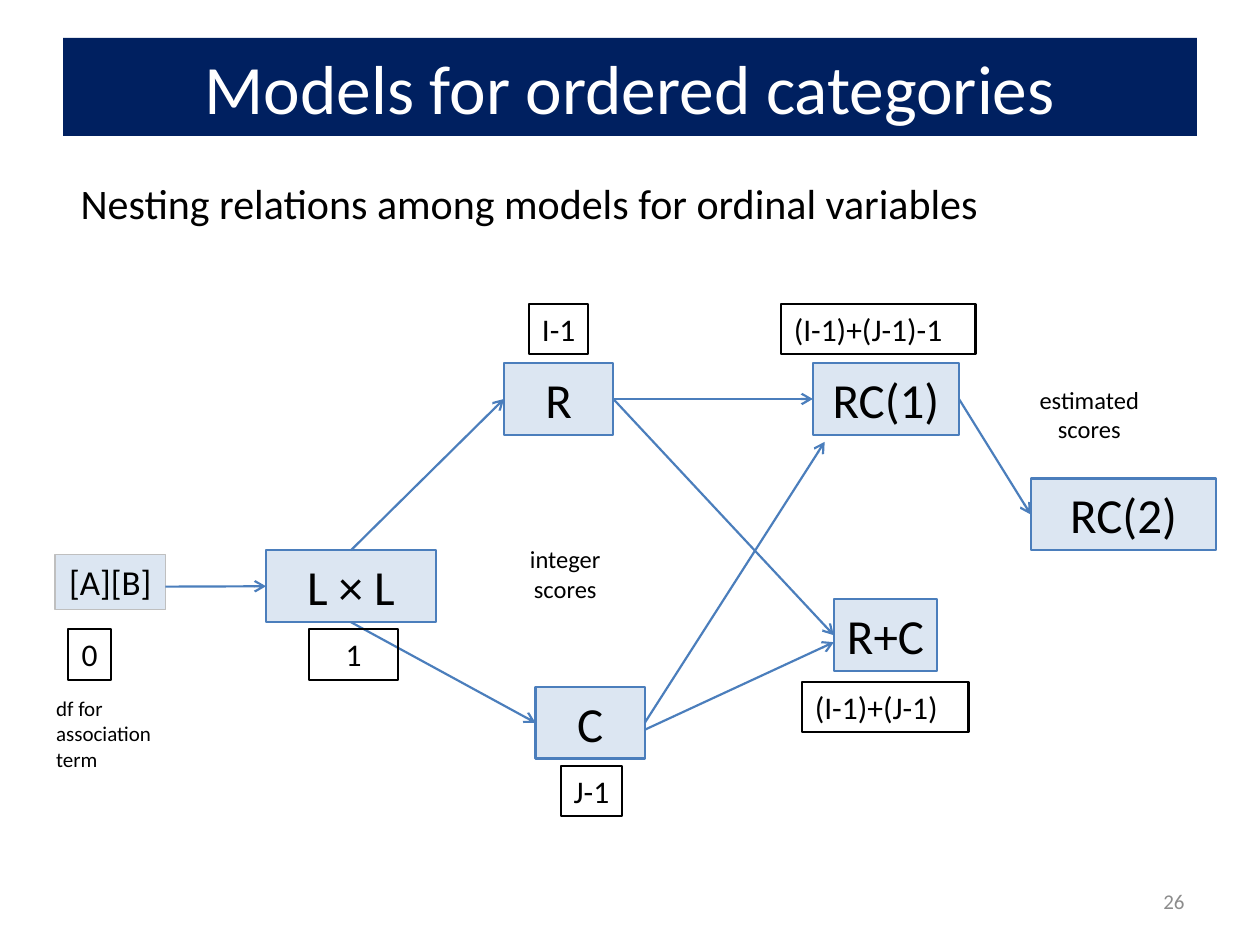
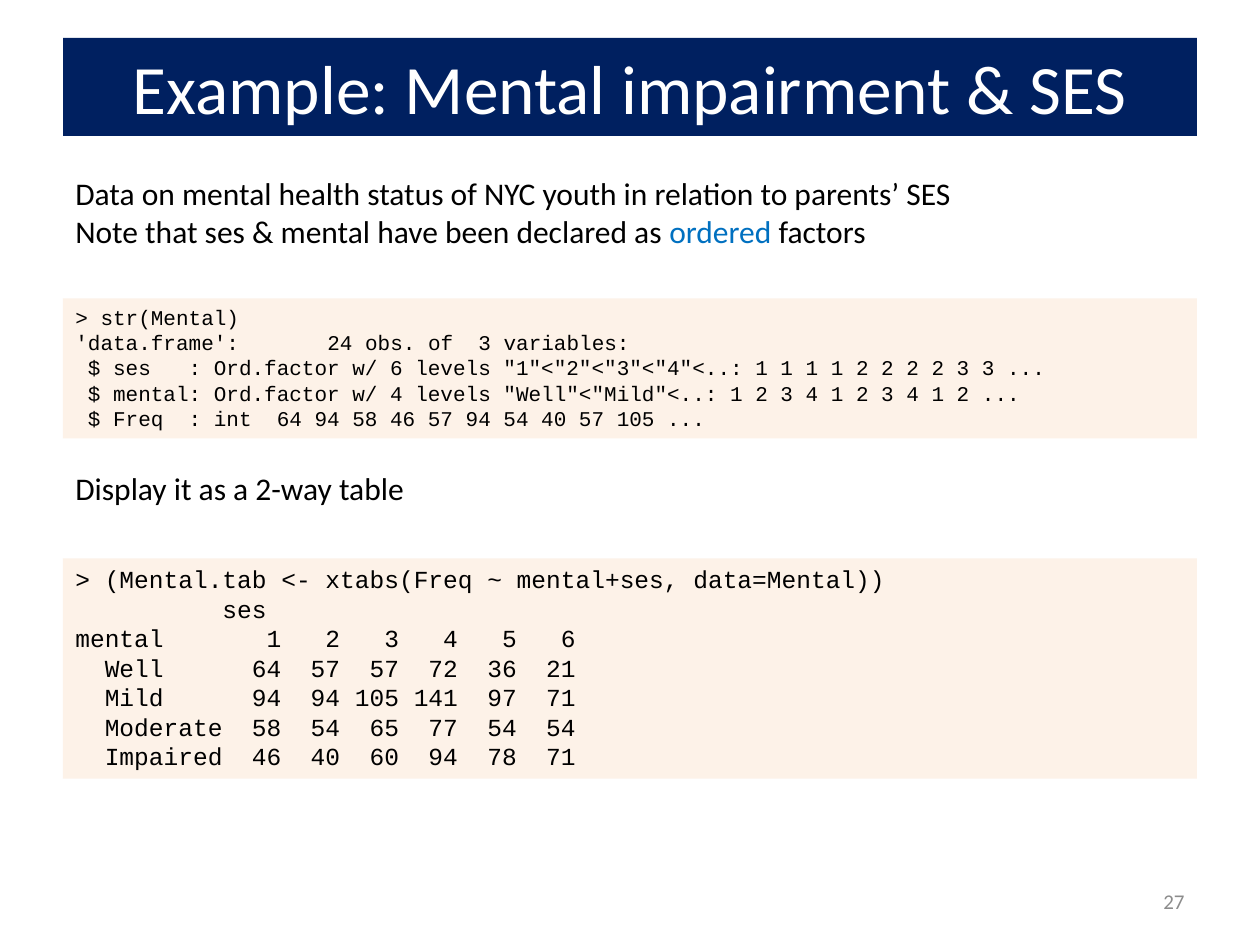
import pptx
import pptx.util
import pptx.dml.color
import pptx.enum.shapes
import pptx.enum.text
import pptx.oxml
import pptx.oxml.ns
import lxml.etree

Pt = pptx.util.Pt
ALIGN = pptx.enum.text.PP_ALIGN
ANCHOR = pptx.enum.text.MSO_ANCHOR

COLORS = {
    "navy": "002060", "white": "FFFFFF", "black": "000000", "grey": "8C8C8C",
    "node": "DCE6F2", "edge": "4B7EBC", "pale_edge": "BFBFBF",
    "code": "FDEADA", "accent": "0070C0",
}
BODY_FONT, CODE_FONT = "Calibri", "Courier New"
MARGIN, CONTENT_WIDTH = 36, 648
NODE_HEIGHT, DF_HEIGHT = 41, 29
TITLE_ONLY = 5
# Connection sites of a rectangle: index, and place as fractions of its size
SIDES = {"top": (0, 0.5, 0), "left": (1, 0, 0.5),
         "bottom": (2, 0.5, 1), "right": (3, 1, 0.5)}

# Model: left, top, width, font size, outline colour, outline width
MODELS = {
    "L × L": (152, 314.5, 97, 28, "edge", 1.25),
    "R": (288, 207.5, 62.5, 28, "edge", 1.25),
    "C": (306, 392.5, 62.5, 28, "edge", 1.25),
    "RC(1)": (464.5, 207.5, 83.5, 28, "edge", 1.25),
    "RC(2)": (589, 273.5, 106, 28, "edge", 1.25),
    "R+C": (476.5, 342.5, 59, 28, "edge", 1.25),
    "[A][B]": (31.5, 317, 63, 20, "pale_edge", 0.75),
}
# From model and side, to model and side, shift of start, shift of end
NESTINGS = [
    ("[A][B]", "right", "L × L", "left", (0, 2.5), (0, 0)),
    ("L × L", "top", "R", "left", (0, 0), (0, 0)),
    ("L × L", "bottom", "C", "left", (0, 0), (0, 0)),
    ("R", "right", "RC(1)", "left", (0, 0), (0, 0)),
    ("R", "right", "R+C", "left", (0, 0), (0, 0)),
    ("C", "right", "R+C", "left", (0, 4), (0, 4)),
    ("C", "right", "RC(1)", "bottom", (0, 0), (-35, 4)),
    ("RC(1)", "right", "RC(2)", "left", (0, 0), (0, 0)),
]
# Degrees of freedom: text, left, top, width, alignment
DF_LABELS = [
    ("1", 176.5, 359.5, 51, ALIGN.CENTER),
    ("I-1", 302.5, 173.5, 33.5, ALIGN.CENTER),
    ("J-1", 320.5, 437.5, 35, ALIGN.CENTER),
    ("(I-1)+(J-1)", 458.5, 389.5, 95, ALIGN.LEFT),
    ("0", 39, 359.5, 24.5, ALIGN.CENTER),
    ("(I-1)+(J-1)-1", 446.5, 173.5, 111, ALIGN.LEFT),
]
STRUCTURE_CODE = """> str(Mental)
'data.frame':\t24 obs. of  3 variables:
 $ ses   : Ord.factor w/ 6 levels "1"<"2"<"3"<"4"<..: 1 1 1 1 2 2 2 2 3 3 ...
 $ mental: Ord.factor w/ 4 levels "Well"<"Mild"<..: 1 2 3 4 1 2 3 4 1 2 ...
 $ Freq  : int  64 94 58 46 57 94 54 40 57 105 ..."""
TABLE_CODE = """> (Mental.tab <- xtabs(Freq ~ mental+ses, data=Mental))
          ses
mental       1   2   3   4   5   6
  Well      64  57  57  72  36  21
  Mild      94  94 105 141  97  71
  Moderate  58  54  65  77  54  54
  Impaired  46  40  60  94  78  71"""


def rgb(name):
    return pptx.dml.color.RGBColor.from_string(COLORS[name])


def add_xml(parent, tag, **attributes):
    return lxml.etree.SubElement(parent, pptx.oxml.ns.qn(tag), attributes)


def write(box, lines, size, font=BODY_FONT, color="black", align=ALIGN.LEFT,
          anchor=ANCHOR.TOP, wrap=True, tab=None):
    """Fill a box; each line is a string or a list of (text, colour) runs."""
    frame = box.text_frame
    frame.word_wrap = wrap
    frame.auto_size = pptx.enum.text.MSO_AUTO_SIZE.NONE
    frame.vertical_anchor = anchor
    for index, line in enumerate(lines):
        para = frame.add_paragraph() if index else frame.paragraphs[0]
        para.alignment = align
        if tab:
            tabs = add_xml(para._p.get_or_add_pPr(), "a:tabLst")
            add_xml(tabs, "a:tab", pos=str(Pt(tab)), algn="l")
        for text, run_color in [(line, color)] if isinstance(line, str) else line:
            span = para.add_run()
            span.text = text
            span.font.name = font
            span.font.size = Pt(size)
            span.font.color.rgb = rgb(run_color)


def add_text(page, lines, left, top, width, height, size, **style):
    box = page.shapes.add_textbox(Pt(left), Pt(top), Pt(width), Pt(height))
    write(box, lines, size, **style)


def add_panel(page, left, top, width, height, fill=None, line=None, weight=1.25):
    panel = page.shapes.add_shape(pptx.enum.shapes.MSO_SHAPE.RECTANGLE,
                                  Pt(left), Pt(top), Pt(width), Pt(height))
    panel.shadow.inherit = False
    if fill:
        panel.fill.solid()
        panel.fill.fore_color.rgb = rgb(fill)
    else:
        panel.fill.background()
    if line:
        panel.line.color.rgb = rgb(line)
        panel.line.width = Pt(weight)
    else:
        panel.line.fill.background()
    return panel


def add_code(page, code, top, height, size):
    panel = add_panel(page, MARGIN, top, CONTENT_WIDTH, height, fill="code")
    tint = panel._element.spPr.find(".//" + pptx.oxml.ns.qn("a:srgbClr"))
    add_xml(tint, "a:alpha", val="60000")
    write(panel, code.split("\n"), size, font=CODE_FONT, tab=144)


def add_model(page, name, left, top, width, size, line, weight):
    height = NODE_HEIGHT if size == 28 else 31.5
    node = add_panel(page, left, top, width, height, "node", line, weight)
    write(node, [name], size, align=ALIGN.CENTER, wrap=False)
    return node


def side_point(node, side, shift):
    _, across, down = SIDES[side]
    return (int(node.left + node.width * across + Pt(shift[0])),
            int(node.top + node.height * down + Pt(shift[1])))


def add_arrow(page, start, start_side, end, end_side, start_shift, end_shift):
    arrow = page.shapes.add_connector(
        pptx.enum.shapes.MSO_CONNECTOR.STRAIGHT,
        *side_point(start, start_side, start_shift),
        *side_point(end, end_side, end_shift))
    # Glue the ends that sit exactly on a connection site
    if not any(start_shift):
        arrow.begin_connect(start, SIDES[start_side][0])
    if not any(end_shift):
        arrow.end_connect(end, SIDES[end_side][0])
    arrow.line.color.rgb = rgb("edge")
    arrow.line.width = Pt(1.25)
    add_xml(arrow.line._get_or_add_ln(), "a:tailEnd", type="arrow")
    add_xml(arrow._element.spPr, "a:effectLst")


def add_page(deck, title, number):
    page = deck.slides.add_slide(deck.slide_layouts[TITLE_ONLY])
    band = page.shapes.title
    band.left, band.top = Pt(MARGIN), Pt(21.6)
    band.width, band.height = Pt(CONTENT_WIDTH), Pt(56)
    band.fill.solid()
    band.fill.fore_color.rgb = rgb("navy")
    write(band, [title], 39.6, color="white", align=ALIGN.CENTER,
          anchor=ANCHOR.MIDDLE)
    add_text(page, [str(number)], 516, 500.5, 168, 28.75, 12, color="grey",
             align=ALIGN.RIGHT, anchor=ANCHOR.MIDDLE)
    return page


def build_nesting_page(deck):
    page = add_page(deck, "Models for ordered categories", 26)
    add_text(page, ["Nesting relations among models for ordinal variables"],
             39, 98, 645, 36, 24)

    # Model diagram
    nodes = {name: add_model(page, name, *spec_row)
             for name, spec_row in MODELS.items()}
    for start, start_side, end, end_side, *shifts in NESTINGS:
        add_arrow(page, nodes[start], start_side, nodes[end], end_side, *shifts)

    # Degrees of freedom
    for text, left, top, width, align in DF_LABELS:
        label = add_panel(page, left, top, width, DF_HEIGHT, line="black")
        write(label, [text], 18, align=align, wrap=align == ALIGN.LEFT)
    add_text(page, ["df for association term"], 25, 394, 71, 51, 12)

    # Kinds of scores
    for text, left, top in [("integer scores", 283, 307.5),
                            ("estimated scores", 582.5, 216.5)]:
        add_text(page, [text], left, top, 80, 41, 14, align=ALIGN.CENTER)


def build_example_page(deck):
    page = add_page(deck, "Example: Mental impairment & SES", 27)
    add_text(page, [
        "Data on mental health status of NYC youth in relation to parents’ SES",
        [("Note that ses & mental have been declared as ", "black"),
         ("ordered", "accent"), (" factors", "black")],
    ], MARGIN, 96, CONTENT_WIDTH, 51, 18)
    add_code(page, STRUCTURE_CODE, 170.5, 80, 12)
    add_text(page, ["Display it as a 2-way table"],
             MARGIN, 264.5, CONTENT_WIDTH, 29, 18)
    add_code(page, TABLE_CODE, 319, 126, 14)


def main():
    deck = pptx.Presentation()
    deck.slide_width, deck.slide_height = Pt(720), Pt(540)
    build_nesting_page(deck)
    build_example_page(deck)
    deck.save("out.pptx")


if __name__ == "__main__":
    main()
